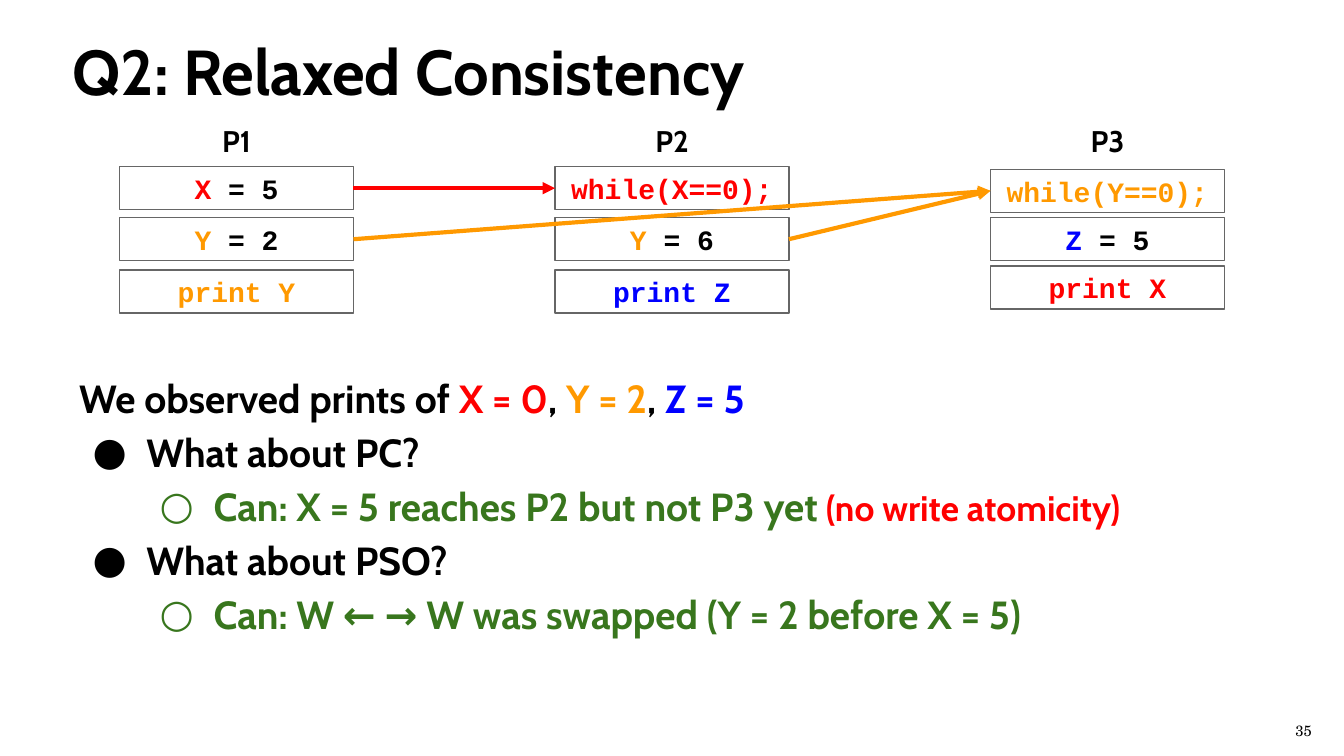
from lxml import etree
from pptx import Presentation
from pptx.dml.color import RGBColor
from pptx.enum.shapes import MSO_CONNECTOR, MSO_SHAPE
from pptx.enum.text import MSO_ANCHOR, PP_ALIGN
from pptx.oxml.ns import qn
from pptx.util import Inches, Pt

STRAIGHT, RECT = MSO_CONNECTOR.STRAIGHT, MSO_SHAPE.RECTANGLE
TOP, MIDDLE = MSO_ANCHOR.TOP, MSO_ANCHOR.MIDDLE
LEFT, CENTER = PP_ALIGN.LEFT, PP_ALIGN.CENTER
LEFT_SITE, RIGHT_SITE = 1, 3

BLACK = RGBColor(0x00, 0x00, 0x00)
WHITE = RGBColor(0xFF, 0xFF, 0xFF)
GRAY = RGBColor(0x66, 0x66, 0x66)
RED = RGBColor(0xFF, 0x00, 0x00)
ORANGE = RGBColor(0xFF, 0x99, 0x00)
BLUE = RGBColor(0x00, 0x00, 0xFF)
GREEN = RGBColor(0x38, 0x76, 0x1D)

HEAD, CODE, NUMBER = "Cabin", "Courier New", "TeX Gyre Schola"

# Each processor: name, tops of its boxes, instructions as (text, colour) runs
PROCESSORS = [
    ("P1", (1.24, 1.62, 2.01), [
        [("X", RED), (" = 5", BLACK)],
        [("Y ", ORANGE), ("= 2", BLACK)],
        [("print Y", ORANGE)],
    ]),
    ("P2", (1.24, 1.62, 2.01), [
        [("while(X==0);", RED)],
        [("Y ", ORANGE), ("= 6", BLACK)],
        [("print Z", BLUE)],
    ]),
    ("P3", (1.26, 1.62, 1.98), [
        [("while(Y==0);", ORANGE)],
        [("Z", BLUE), (" = 5", BLACK)],
        [("print X", RED)],
    ]),
]
UNFILLED = {("P2", 2), ("P3", 0), ("P3", 1)}

# (processor, instruction) of the write, of the read that sees it, colour
ARROWS = [
    (("P1", 0), ("P2", 0), RED),
    (("P1", 1), ("P3", 0), ORANGE),
    (("P2", 1), ("P3", 0), ORANGE),
]

# Outline level (0 = no bullet) and runs of (text, colour[, size])
NOTES = [
    (0, [("We observed prints of ", BLACK), ("X = 0", RED), (", ", BLACK),
         ("Y = 2", ORANGE), (", ", BLACK), ("Z = 5", BLUE)]),
    (1, [("What about PC?", BLACK)]),
    (2, [("Can: X = 5 reaches P2 but not P3 yet", GREEN),
         (" (no write atomicity)", RED, 19)]),
    (1, [("What about PSO?", BLACK)]),
    (2, [("Can: W ← → W was swapped (Y = 2 before X = 5)", GREEN)]),
]
BULLETS = {1: "●", 2: "○"}

SLIDE_W = 10
SLIDE_H = SLIDE_W * 9 / 16
FIRST_X, COLUMN_STEP = 0.89, 3.24
BOX_W, BOX_H = 1.74, 0.32
LABEL_W = 0.82


def set_frame(shape, anchor):
    tf = shape.text_frame
    tf.word_wrap = True
    tf.vertical_anchor = anchor
    tf.margin_left = tf.margin_right = Inches(0.1)
    tf.margin_top = tf.margin_bottom = Inches(0.1)
    return tf


def add_runs(p, runs, font, size, bold=True):
    for text, color, *own_size in runs:
        r = p.add_run()
        r.text = text
        r.font.name = font
        r.font.size = Pt(own_size[0] if own_size else size)
        r.font.bold = bold
        r.font.color.rgb = color


def add_text(s, box, runs, font, size, bold=True, align=LEFT, anchor=TOP, spacing=None):
    tb = s.shapes.add_textbox(*map(Inches, box))
    p = set_frame(tb, anchor).paragraphs[0]
    p.alignment = align
    p.line_spacing = spacing
    add_runs(p, runs, font, size, bold)


def add_instruction(s, x, y, runs, filled):
    box = s.shapes.add_shape(RECT, Inches(x), Inches(y), Inches(BOX_W), Inches(BOX_H))
    box.shadow.inherit = False
    if filled:
        box.fill.solid()
        box.fill.fore_color.rgb = WHITE
    else:
        box.fill.background()
    box.line.color.rgb = GRAY
    box.line.width = Pt(0.75)
    p = set_frame(box, MIDDLE).paragraphs[0]
    p.alignment = CENTER
    add_runs(p, runs, CODE, 15)
    return box


def add_arrow(s, source, target, color):
    line = s.shapes.add_connector(STRAIGHT, 0, 0, 0, 0)
    line.begin_connect(source, RIGHT_SITE)
    line.end_connect(target, LEFT_SITE)
    line.line.color.rgb = color
    line.line.width = Pt(2.25)
    spPr = line._element.spPr
    etree.SubElement(spPr.find(qn("a:ln")), qn("a:tailEnd"), type="triangle")
    etree.SubElement(spPr, qn("a:effectLst"))


def set_bullet(p, level, color):
    p.level = level - 1
    pPr = p._p.get_or_add_pPr()
    pPr.set("marL", str(Inches(0.5 * level)))
    pPr.set("indent", str(Inches(-0.4)))
    bu_color = etree.SubElement(pPr, qn("a:buClr"))
    etree.SubElement(bu_color, qn("a:srgbClr"), val=str(color))
    etree.SubElement(pPr, qn("a:buFont"), typeface=HEAD)
    etree.SubElement(pPr, qn("a:buChar"), char=BULLETS[level])


def add_notes(s):
    tb = s.shapes.add_textbox(Inches(0.49), Inches(2.63), Inches(9.51), Inches(2.18))
    tf = set_frame(tb, TOP)
    for i, (level, runs) in enumerate(NOTES):
        p = tf.add_paragraph() if i else tf.paragraphs[0]
        p.line_spacing = 1.15
        if level:
            set_bullet(p, level, runs[0][1])
        add_runs(p, runs, HEAD, 21)


def main():
    prs = Presentation()
    prs.slide_width, prs.slide_height = Inches(SLIDE_W), Inches(SLIDE_H)
    s = prs.slides.add_slide(prs.slide_layouts[6])

    add_text(s, (9.4, 5.28, 0.6, 0.31), [("35", BLACK)], NUMBER, 8,
             bold=False, align=CENTER, anchor=MIDDLE)
    add_text(s, (0.44, 0.14, 8.22, 0.7), [("Q2: Relaxed Consistency", BLACK)], HEAD, 34)

    boxes = {}
    for col, (name, tops, instructions) in enumerate(PROCESSORS):
        x = FIRST_X + col * COLUMN_STEP
        add_text(s, (x + (BOX_W - LABEL_W) / 2, 0.77, LABEL_W, 0.47), [(name, BLACK)],
                 HEAD, 16, align=CENTER, spacing=1.15)
        for row, (y, runs) in enumerate(zip(tops, instructions)):
            key = name, row
            boxes[key] = add_instruction(s, x, y, runs, key not in UNFILLED)

    add_notes(s)
    for source, target, color in ARROWS:
        add_arrow(s, boxes[source], boxes[target], color)

    prs.save("out.pptx")


if __name__ == "__main__":
    main()
